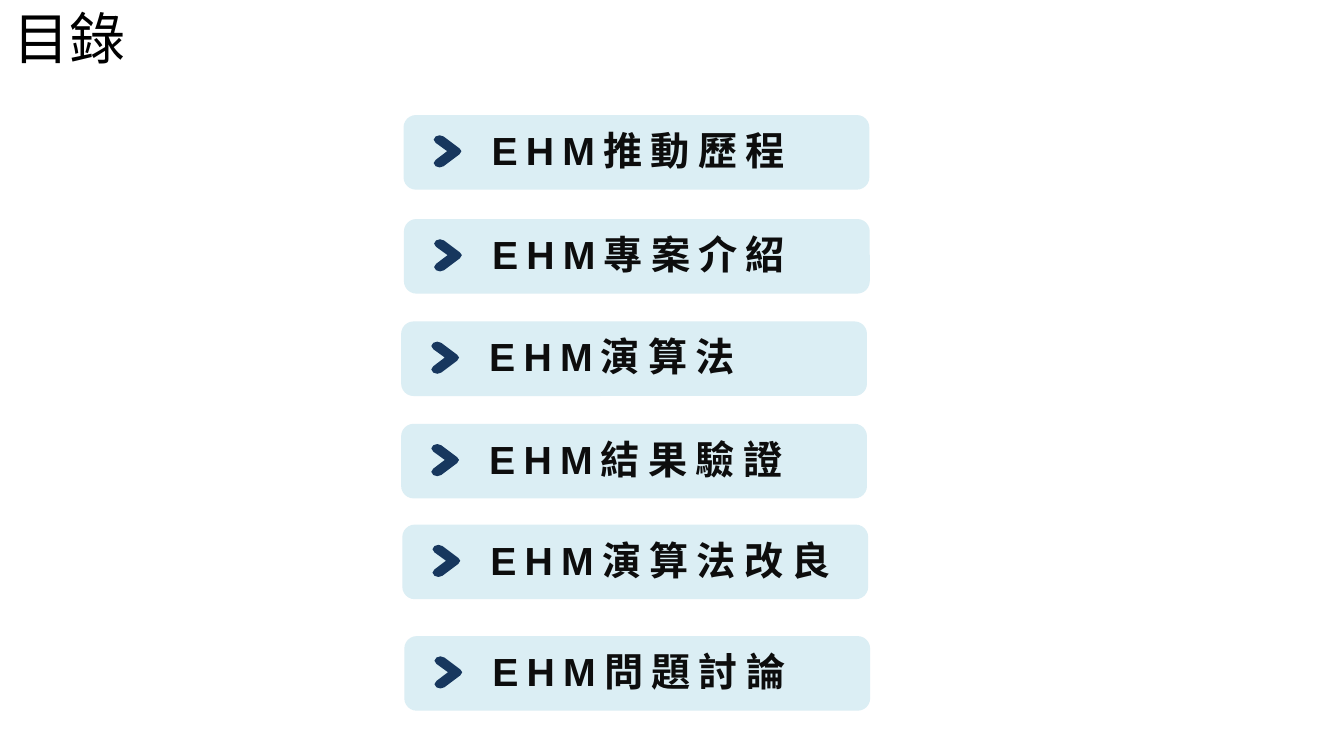
import pptx
import pptx.util
import pptx.dml.color
import pptx.enum.shapes
import pptx.enum.text
import pptx.oxml
import pptx.oxml.ns

Cm = pptx.util.Cm
Pt = pptx.util.Pt

COLORS = {"title": "000000", "card": "DBEEF4", "chevron": "17375E", "text": "0D0D0D"}
LATIN = "Arial"
CJK = "Noto Sans CJK SC"
TITLE_FONT = {"name": CJK, "size": Pt(40), "bold": False}
ITEM_FONT = {"size": Pt(28), "bold": True}
ITEM_SPACING = "590"

ITEMS = [
    ([("EHM", LATIN), ("推動歷程", CJK)], 10.17, 2.9),
    ([("EHM", LATIN), ("專案介紹", CJK)], 10.18, 5.52),
    ([("EHM演算法", LATIN)], 10.11, 8.1),
    ([("EHM演算法改良", LATIN)], 10.14, 13.22),
    ([("EHM問題討論", LATIN)], 10.19, 16.03),
    ([("EHM結果驗證", LATIN)], 10.11, 10.68),
]

CHEVRON_UNITS_PER_CM = 100
CHEVRON = [
    (26, 3), (16, 0), (6, 3), (1, 11), (6, 19), (35, 40), (6, 62),
    (1, 70), (6, 78), (16, 81), (26, 78), (66, 48), (71, 40), (66, 33),
]


def rgb(key):
    return pptx.dml.color.RGBColor.from_string(COLORS[key])


def format_run(r, values, color):
    for name, value in values.items():
        setattr(r.font, name, value)
    r.font.color.rgb = rgb(color)
    ea = pptx.oxml.parse_xml(f'<a:ea {pptx.oxml.ns.nsdecls("a")} typeface="{CJK}"/>')
    r.font._element.append(ea)


def paint(sp, color):
    sp.shadow.inherit = False
    sp.fill.solid()
    sp.fill.fore_color.rgb = rgb(color)
    sp.line.fill.background()


def add_title(s, text):
    sp = s.shapes.title
    box = {"left": Cm(0), "top": Cm(0), "width": Cm(30.48), "height": Cm(1.85)}
    for name, value in box.items():
        setattr(sp, name, value)
    tf = sp.text_frame
    frame = {
        "auto_size": pptx.enum.text.MSO_AUTO_SIZE.NONE,
        "vertical_anchor": pptx.enum.text.MSO_ANCHOR.MIDDLE,
        "margin_left": Cm(0.33),
        "margin_right": Cm(0.33),
        "margin_top": Cm(0.17),
        "margin_bottom": Cm(0.17),
    }
    for name, value in frame.items():
        setattr(tf, name, value)
    p = tf.paragraphs[0]
    p.alignment = pptx.enum.text.PP_ALIGN.LEFT
    r = p.add_run()
    r.text = text
    format_run(r, TITLE_FONT, "title")


def add_card(shapes, left, top):
    sp = shapes.add_shape(
        pptx.enum.shapes.MSO_SHAPE.ROUNDED_RECTANGLE,
        Cm(left), Cm(top), Cm(11.74), Cm(1.88),
    )
    paint(sp, "card")


def add_chevron(shapes, left, top):
    builder = shapes.build_freeform(*CHEVRON[0], scale=Cm(1) / CHEVRON_UNITS_PER_CM)
    builder.add_line_segments(CHEVRON[1:], close=True)
    paint(builder.convert_to_shape(Cm(left), Cm(top)), "chevron")


def add_label(shapes, left, top, runs):
    length = sum(len(text) for text, font in runs)
    width = 1.2 * length - 0.2
    sp = shapes.add_textbox(Cm(left), Cm(top), Cm(width), Cm(1.45))
    tf = sp.text_frame
    tf.word_wrap = False
    tf.auto_size = pptx.enum.text.MSO_AUTO_SIZE.SHAPE_TO_FIT_TEXT
    p = tf.paragraphs[0]
    for text, font in runs:
        r = p.add_run()
        r.text = text
        format_run(r, {**ITEM_FONT, "name": font}, "text")
        r.font._element.set("spc", ITEM_SPACING)


def add_item(s, runs, left, top):
    shapes = s.shapes.add_group_shape().shapes
    add_card(shapes, left, top)
    add_chevron(shapes, left + 0.75, top + 0.51)
    add_label(shapes, left + 1.97, top + 0.16, runs)


def main():
    prs = pptx.Presentation()
    prs.slide_width = Cm(33.87)
    prs.slide_height = Cm(19.05)
    s = prs.slides.add_slide(prs.slide_layouts[5])
    add_title(s, "目錄")
    for runs, left, top in ITEMS:
        add_item(s, runs, left, top)
    prs.save("out.pptx")


if __name__ == "__main__":
    main()
